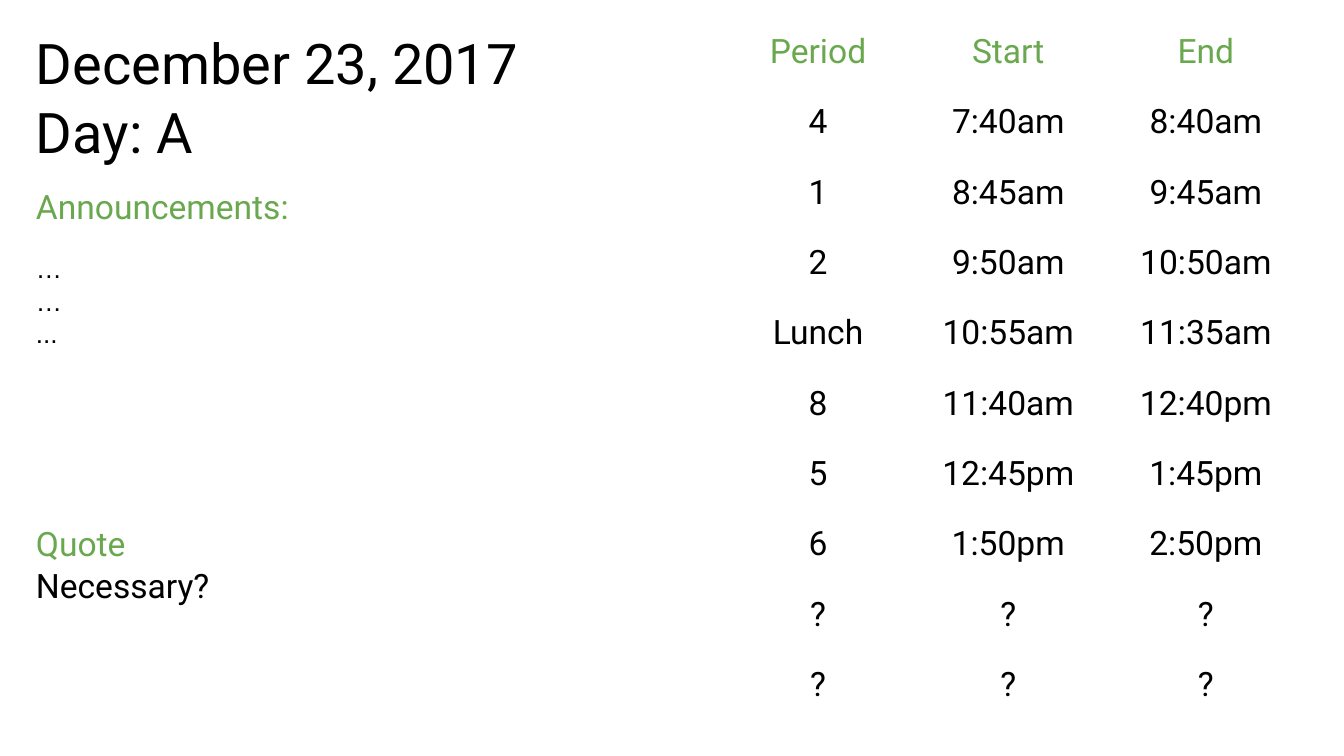
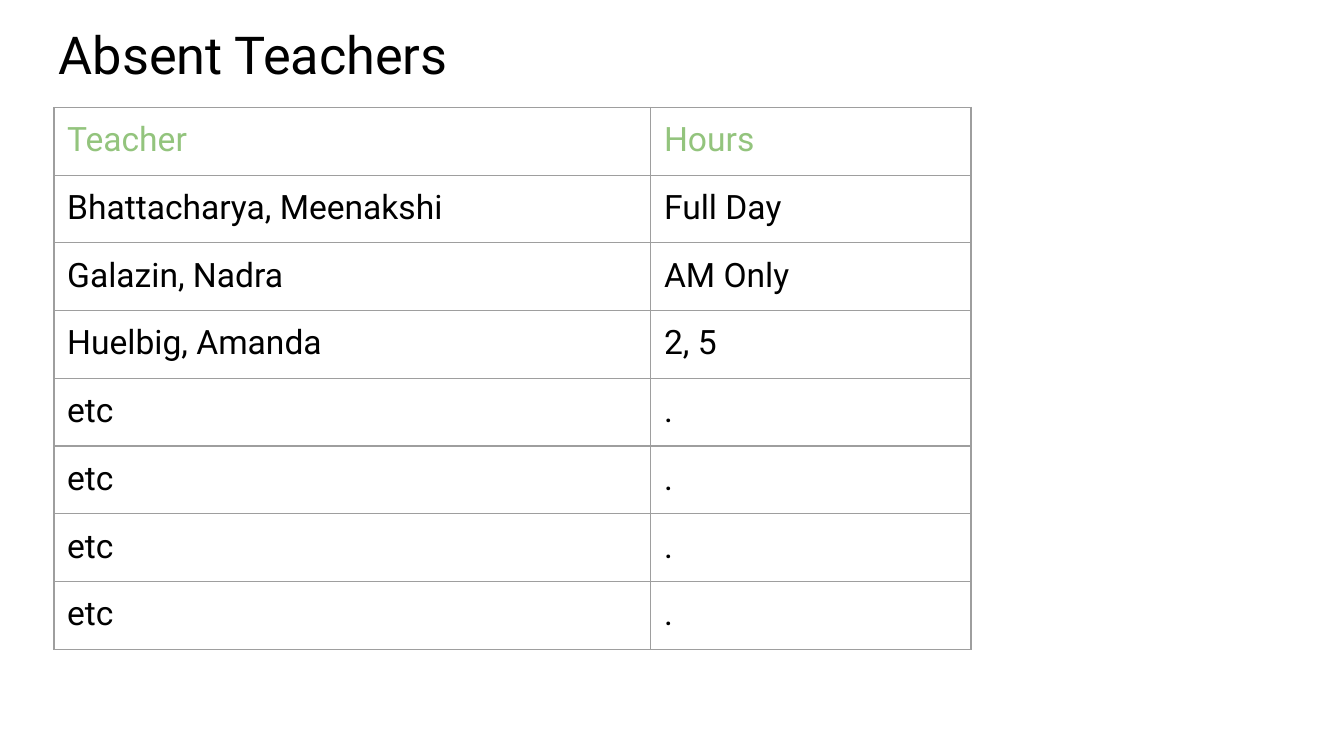
from dataclasses import dataclass

from lxml.etree import SubElement
from pptx import Presentation
from pptx.dml.color import RGBColor
from pptx.enum.text import MSO_ANCHOR, MSO_AUTO_SIZE, PP_ALIGN
from pptx.oxml.ns import qn
from pptx.util import Cm, Pt


@dataclass(frozen=True)
class Theme:
    ink: str = "000000"
    green: str = "6AA84F"
    pale: str = "93C47D"
    rule: str = "9E9E9E"
    font: str = "Roboto"
    plain: str = "Arial"
    date: int = 30
    title: int = 28
    body: int = 18
    note: int = 14
    line: float = 0.75
    lead: float = 1.04
    inset: float = 0.25


T = Theme()

PERIODS = [
    ("Period", "Start", "End"),
    ("4", "7:40am", "8:40am"),
    ("1", "8:45am", "9:45am"),
    ("2", "9:50am", "10:50am"),
    ("Lunch", "10:55am", "11:35am"),
    ("8", "11:40am", "12:40pm"),
    ("5", "12:45pm", "1:45pm"),
    ("6", "1:50pm", "2:50pm"),
] + [("?",) * 3] * 2

ABSENT = [
    ("Teacher", "Hours"),
    ("Bhattacharya, Meenakshi", "Full Day"),
    ("Galazin, Nadra", "AM Only"),
    ("Huelbig, Amanda", "2, 5"),
] + [("etc", ".")] * 4


def add_run(para, text, size, color=T.ink, font=T.font):
    run = para.add_run()
    run.text = text
    run.font.name = font
    run.font.size = Pt(size)
    run.font.bold = False
    run.font.color.rgb = RGBColor.from_string(color)


def pad(item):
    """Give a text frame or a table cell the common inset."""
    item.margin_left = item.margin_right = Cm(T.inset)
    item.margin_top = item.margin_bottom = Cm(T.inset)
    item.vertical_anchor = MSO_ANCHOR.TOP


def fill_text(shape, lines, size, font=T.font):
    """Write (text, colour) lines, one paragraph each."""
    frame = shape.text_frame
    frame.word_wrap = True
    frame.auto_size = MSO_AUTO_SIZE.NONE
    pad(frame)
    for i, (text, color) in enumerate(lines):
        para = frame.add_paragraph() if i else frame.paragraphs[0]
        para.alignment = PP_ALIGN.LEFT
        para.line_spacing = T.lead
        add_run(para, text, size, color, font)


def add_text(slide, box, lines, size, font=T.font):
    shape = slide.shapes.add_textbox(*map(Cm, box))
    fill_text(shape, lines, size, font)


def set_title(slide, box, lines, size):
    shape = slide.shapes.title
    shape.left, shape.top, shape.width, shape.height = map(Cm, box)
    fill_text(shape, [(text, T.ink) for text in lines], size)


def rule_cell(cell):
    """Draw all four borders; they must come before the cell's fill."""
    props = cell._tc.get_or_add_tcPr()
    for i, side in enumerate(("lnL", "lnR", "lnT", "lnB")):
        line = SubElement(props, qn(f"a:{side}"), w=str(Pt(T.line)))
        fill = SubElement(line, qn("a:solidFill"))
        SubElement(fill, qn("a:srgbClr"), val=T.rule)
        props.insert(i, line)


def add_grid(slide, spot, cols, height, rows, head, align, ruled=False):
    left, top = spot
    box = (left, top, sum(cols), height * len(rows))
    table = slide.shapes.add_table(len(rows), len(cols), *map(Cm, box)).table
    table.first_row = table.horz_banding = False
    for col, width in zip(table.columns, cols):
        col.width = Cm(width)
    for r, texts in enumerate(rows):
        table.rows[r].height = Cm(height)
        for c, text in enumerate(texts):
            cell = table.cell(r, c)
            pad(cell)
            cell.fill.background()
            if ruled:
                rule_cell(cell)
            para = cell.text_frame.paragraphs[0]
            para.alignment = align
            add_run(para, text, T.body, T.ink if r else head)


def add_news(slide, left, width):
    """Stack the announcements and the quote in one column."""
    add_text(slide, (left, 3.23, width, 1.17),
             [("Announcements:", T.green)], T.body)
    add_text(slide, (left, 9.6, width, 3.96),
             [("Quote", T.green), ("Necessary?", T.ink)], T.body)
    add_text(slide, (left, 4.5, width, 5),
             [(dots, T.ink) for dots in ("…", "…", "...")], T.note, T.plain)


def day_slide(slide):
    left = 0.43
    set_title(slide, (left, 0.23, 12.9, 2.59),
              ["December 23, 2017", "Day: A"], T.date)
    add_grid(slide, (13.67, 0.36), (3.58, 3.61, 3.86), 1.33,
             PERIODS, T.green, PP_ALIGN.CENTER)
    add_news(slide, left, 11.73)


def absent_slide(slide):
    set_title(slide, (0.86, 0.13, 23.67, 1.6), ["Absent Teachers"], T.title)
    add_grid(slide, (1.02, 2.03), (11.28, 6.05), 1.28,
             ABSENT, T.pale, PP_ALIGN.LEFT, ruled=True)


def main():
    deck = Presentation()
    deck.slide_width, deck.slide_height = Cm(25.4), Cm(14.29)
    layout = deck.slide_layouts.get_by_name("Title Only")
    for build in (day_slide, absent_slide):
        build(deck.slides.add_slide(layout))
    deck.save("out.pptx")


if __name__ == "__main__":
    main()
